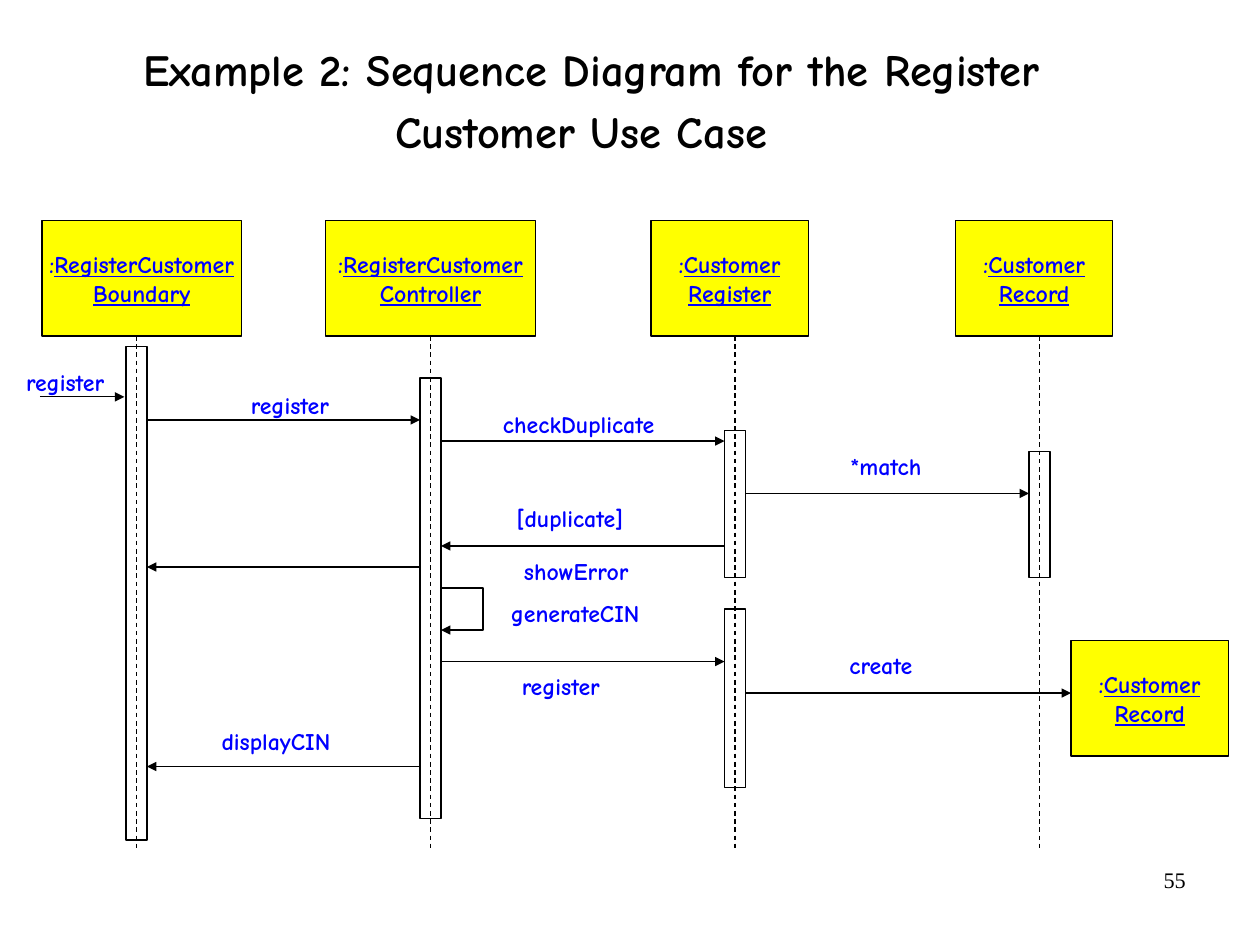
from typing import NamedTuple

from lxml.etree import SubElement
from pptx import Presentation
from pptx.dml.color import RGBColor
from pptx.enum.dml import MSO_LINE
from pptx.enum.shapes import MSO_CONNECTOR, MSO_SHAPE
from pptx.enum.text import MSO_ANCHOR, MSO_AUTO_SIZE, PP_ALIGN
from pptx.oxml.ns import qn
from pptx.util import Cm, Emu, Inches, Pt

SLIDE_WIDTH, SLIDE_HEIGHT = Cm(28), Cm(21)
COLUMNS, ROWS = 120, 90
BLACK = RGBColor(0x00, 0x00, 0x00)
BLUE = RGBColor(0x00, 0x00, 0xFF)
YELLOW = RGBColor(0xFF, 0xFF, 0x00)
DIAGRAM_FONT, NUMBER_FONT = "Comic Neue", "Times New Roman"
HEAD_TOP, HEAD_HEIGHT = 21, 11
LIFELINE_BOTTOM = 81
BAR_WIDTH = 2


class Participant(NamedTuple):
    left: float
    top: float
    width: float
    first_line: str
    second_line: str


class Activation(NamedTuple):
    center: float
    top: float
    height: float


class Message(NamedTuple):
    start: float
    end: float
    row: float


class Label(NamedTuple):
    text: str
    left: float
    top: float
    width: float


PARTICIPANTS = [
    Participant(4, HEAD_TOP, 19, "RegisterCustomer", "Boundary"),
    Participant(31, HEAD_TOP, 20, "RegisterCustomer", "Controller"),
    Participant(62, HEAD_TOP, 15, "Customer", "Register"),
    Participant(91, HEAD_TOP, 15, "Customer", "Record"),
    Participant(102, 61, 15, "Customer", "Record"),
]
BOUNDARY, CONTROLLER, REGISTER, RECORD = LIFELINES = 13, 41, 70, 99
ACTIVATIONS = [
    Activation(BOUNDARY, 33, 47),
    Activation(CONTROLLER, 36, 42),
    Activation(REGISTER, 41, 14),
    Activation(REGISTER, 58, 17),
    Activation(RECORD, 43, 12),
]
MESSAGES = [
    Message(3.8, BOUNDARY - 1.15, 37.8),
    Message(BOUNDARY + 1, CONTROLLER - 1, 40),
    Message(CONTROLLER + 1, REGISTER - 1, 42),
    Message(REGISTER + 1, RECORD - 1, 47),
    Message(REGISTER - 1, CONTROLLER + 1, 52),
    Message(CONTROLLER - 1, BOUNDARY + 1, 54),
    Message(CONTROLLER + 1, REGISTER - 1, 63),
    Message(REGISTER + 1, 102, 66),
    Message(CONTROLLER - 1, BOUNDARY + 1, 73),
]
LABELS = [
    Label("register", 2.5, 35, 7.5),
    Label("register", 23.9, 37.25, 7.5),
    Label("checkDuplicate", 47.9, 39, 14.5),
    Label("*match", 81, 43, 6.9),
    Label("[duplicate]", 49.2, 48, 10.2),
    Label("showError", 49.9, 53, 10),
    Label("generateCIN", 48.65, 57, 12.4),
    Label("create", 80.9, 62, 6.1),
    Label("register", 49.7, 64, 7.5),
    Label("displayCIN", 21.1, 69.2, 10.4),
]


def across(columns: float) -> Emu:
    return Emu(round(SLIDE_WIDTH * columns / COLUMNS))


def down(rows: float) -> Emu:
    return Emu(round(SLIDE_HEIGHT * rows / ROWS))


def grid_box(left: float, top: float, width: float, height: float) -> tuple:
    return across(left), down(top), across(width), down(height)


def format_font(font, size: float, color: RGBColor, name: str = DIAGRAM_FONT) -> None:
    font.name, font.size, font.color.rgb = name, Pt(size), color
    font.bold = name == DIAGRAM_FONT


def set_margins(text_frame, horizontal: float, vertical: float) -> None:
    text_frame.margin_left = text_frame.margin_right = Inches(horizontal)
    text_frame.margin_top = text_frame.margin_bottom = Inches(vertical)


def outline(shape, arrow: bool = False) -> None:
    """Give a shape or connector a thin black line, with an arrowhead if asked."""
    shape.line.color.rgb = BLACK
    shape.line.width = Pt(0.75)
    if arrow:
        SubElement(shape.line._get_or_add_ln(), qn("a:tailEnd"), type="triangle")


def add_rectangle(slide, left: float, top: float, width: float, height: float):
    rectangle = slide.shapes.add_shape(MSO_SHAPE.RECTANGLE, *grid_box(left, top, width, height))
    rectangle.shadow.inherit = False
    rectangle.fill.background()
    outline(rectangle)
    return rectangle


def add_line(slide, start: tuple, end: tuple, arrow: bool = False):
    line = slide.shapes.add_connector(
        MSO_CONNECTOR.STRAIGHT, across(start[0]), down(start[1]), across(end[0]), down(end[1]))
    outline(line, arrow)
    SubElement(line._element.spPr, qn("a:effectLst"))
    return line


def add_participant(slide, participant: Participant) -> None:
    head = add_rectangle(slide, participant.left, participant.top, participant.width, HEAD_HEIGHT)
    head.fill.solid()
    head.fill.fore_color.rgb = YELLOW
    text_frame = head.text_frame
    text_frame.word_wrap = False
    text_frame.vertical_anchor = MSO_ANCHOR.MIDDLE
    set_margins(text_frame, 0.11, 0.06)
    first, second = text_frame.paragraphs[0], text_frame.add_paragraph()
    first.text, second.text = ":", participant.second_line
    first.add_run().text = participant.first_line
    for paragraph in (first, second):
        paragraph.alignment = PP_ALIGN.CENTER
        for run in paragraph.runs:
            format_font(run.font, 15, BLUE)
            run.font.underline = run.text != ":"


def add_label(slide, label: Label) -> None:
    text_frame = slide.shapes.add_textbox(
        *grid_box(label.left, label.top, label.width, 2.7)).text_frame
    text_frame.word_wrap = False
    text_frame.auto_size = MSO_AUTO_SIZE.SHAPE_TO_FIT_TEXT
    set_margins(text_frame, 0, 0)
    text_frame.text = label.text
    format_font(text_frame.paragraphs[0].runs[0].font, 15, BLUE)


def add_self_message(slide, left: float, top: float, size: float) -> None:
    builder = slide.shapes.build_freeform(across(left), down(top))
    corners = [(left + size, top), (left + size, top + size), (left, top + size)]
    builder.add_line_segments([(across(x), down(y)) for x, y in corners], close=False)
    loop = builder.convert_to_shape()
    loop.shadow.inherit = False
    loop.fill.background()
    outline(loop, arrow=True)


def add_title(slide) -> None:
    title = slide.shapes.title
    title.left, title.top, title.width, title.height = grid_box(5.3, -0.6, 102, 21)
    text_frame = title.text_frame
    text_frame.text = "Example 2: Sequence Diagram for the Register Customer Use Case"
    text_frame.word_wrap = True
    text_frame.auto_size = MSO_AUTO_SIZE.NONE
    text_frame.vertical_anchor = MSO_ANCHOR.MIDDLE
    set_margins(text_frame, 0.02, 0.06)
    paragraph = text_frame.paragraphs[0]
    paragraph.alignment = PP_ALIGN.CENTER
    paragraph.line_spacing = 0.94
    paragraph.add_run().text = " "
    for run, size in zip(paragraph.runs, (28, 36)):
        format_font(run.font, size, BLACK)


def add_slide_number(slide) -> None:
    text_frame = slide.shapes.add_textbox(*grid_box(86, 82, 28, 6.2)).text_frame
    text_frame.word_wrap = True
    text_frame.text = "55"
    paragraph = text_frame.paragraphs[0]
    paragraph.alignment = PP_ALIGN.RIGHT
    format_font(paragraph.runs[0].font, 14, BLACK, NUMBER_FONT)


def main() -> None:
    presentation = Presentation()
    presentation.slide_width, presentation.slide_height = SLIDE_WIDTH, SLIDE_HEIGHT
    slide = presentation.slides.add_slide(presentation.slide_layouts.get_by_name("Title Only"))
    add_title(slide)
    for participant in PARTICIPANTS:
        add_participant(slide, participant)
    for center in LIFELINES:
        lifeline = add_line(slide, (center, HEAD_TOP + HEAD_HEIGHT), (center, LIFELINE_BOTTOM))
        lifeline.line.dash_style = MSO_LINE.DASH
    for bar in ACTIVATIONS:
        add_rectangle(slide, bar.center - BAR_WIDTH / 2, bar.top, BAR_WIDTH, bar.height)
    for message in MESSAGES:
        add_line(slide, (message.start, message.row), (message.end, message.row), arrow=True)
    add_self_message(slide, CONTROLLER + 1, 56, 4)
    for label in LABELS:
        add_label(slide, label)
    add_slide_number(slide)
    presentation.save("out.pptx")


if __name__ == "__main__":
    main()
